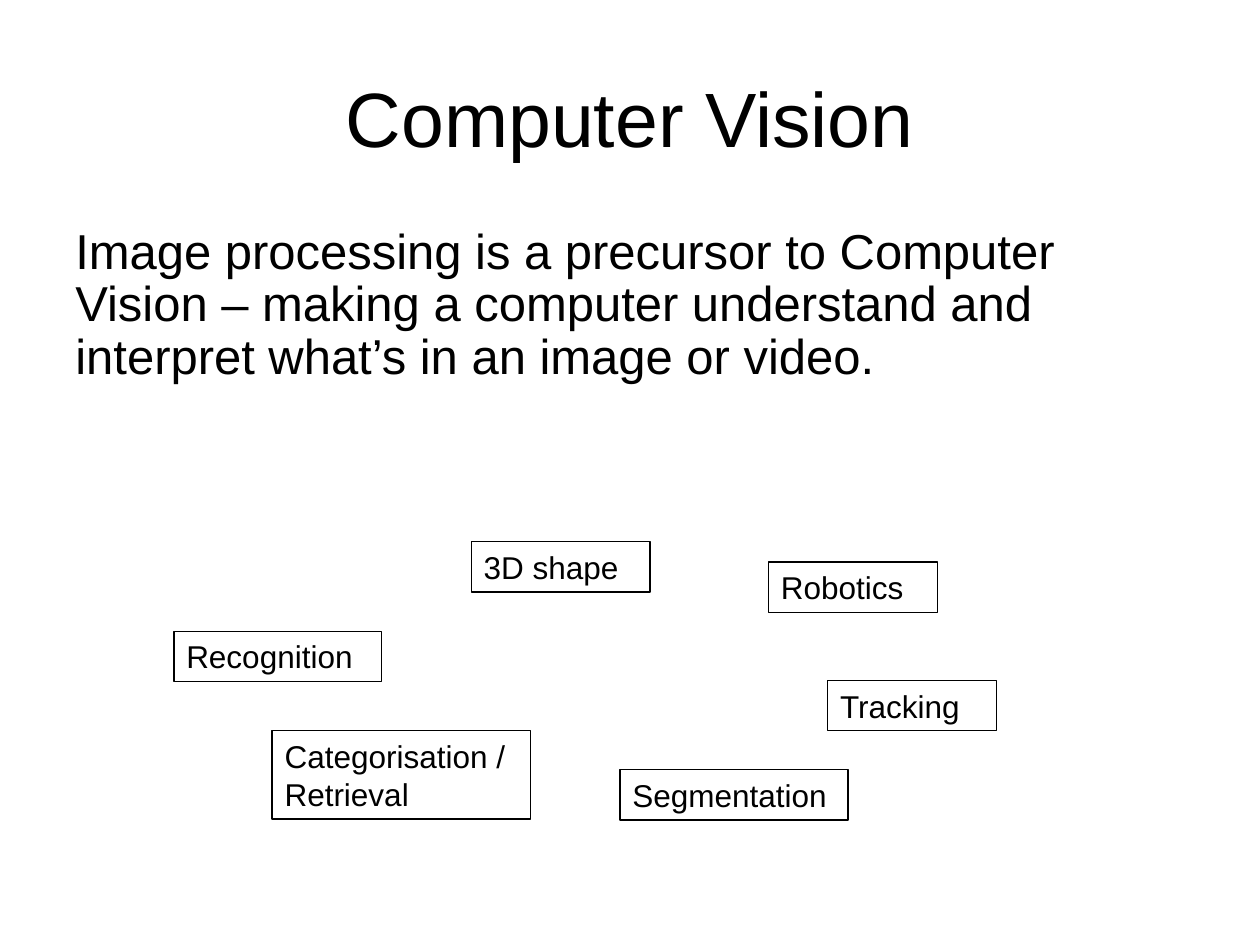
from pptx import Presentation
from pptx.dml.color import RGBColor
from pptx.enum.shapes import MSO_SHAPE as Shape
from pptx.enum.text import MSO_ANCHOR as Anchor, MSO_AUTO_SIZE as AutoSize, PP_ALIGN as Align
from pptx.util import Inches, Pt

BLACK = RGBColor(0, 0, 0)
FONT = "Arial"

# Topic, left, top, width, height in inches
TOPICS = [
    ("Recognition", 1.38, 5.01, 1.65, 0.4),
    ("3D shape", 3.74, 4.3, 1.42, 0.4),
    ("Tracking", 6.57, 5.4, 1.34, 0.4),
    ("Segmentation", 4.92, 6.11, 1.81, 0.4),
    ("Categorisation / Retrieval", 2.16, 5.8, 2.05, 0.7),
    ("Robotics", 6.1, 4.46, 1.34, 0.4),
]


def write_text(box, text, size, align=Align.LEFT, anchor=Anchor.TOP):
    frame = box.text_frame
    frame.word_wrap = True
    frame.vertical_anchor = anchor
    para = frame.paragraphs[0]
    para.alignment = align
    span = para.add_run()
    span.text = text
    span.font.name = FONT
    span.font.size = Pt(size)
    span.font.color.rgb = BLACK
    return para


def add_text(page, text, top, height, size, **layout):
    box = page.shapes.add_textbox(Inches(0.5), Inches(top), Inches(9), Inches(height))
    return write_text(box, text, size, **layout)


def add_topic(page, text, *place):
    box = page.shapes.add_shape(Shape.RECTANGLE, *map(Inches, place))
    box.shadow.inherit = False
    box.fill.background()
    box.line.color.rgb = BLACK
    box.line.width = Pt(0.75)
    write_text(box, text, 18)
    box.text_frame.auto_size = AutoSize.SHAPE_TO_FIT_TEXT


def main():
    deck = Presentation()
    deck.slide_width, deck.slide_height = Inches(10), Inches(7.5)
    page = deck.slides.add_slide(deck.slide_layouts[6])

    # Title and introduction
    add_text(page, "Computer Vision", 0.3, 1.25, 44,
             align=Align.CENTER, anchor=Anchor.MIDDLE)
    intro = add_text(page, "Image processing is a precursor to Computer Vision – making a "
                     "computer understand and interpret what’s in an image or video.",
                     1.75, 2.16, 28)
    intro.line_spacing = 0.9

    # Scattered topic boxes
    for topic in TOPICS:
        add_topic(page, *topic)

    deck.save("out.pptx")


if __name__ == "__main__":
    main()
